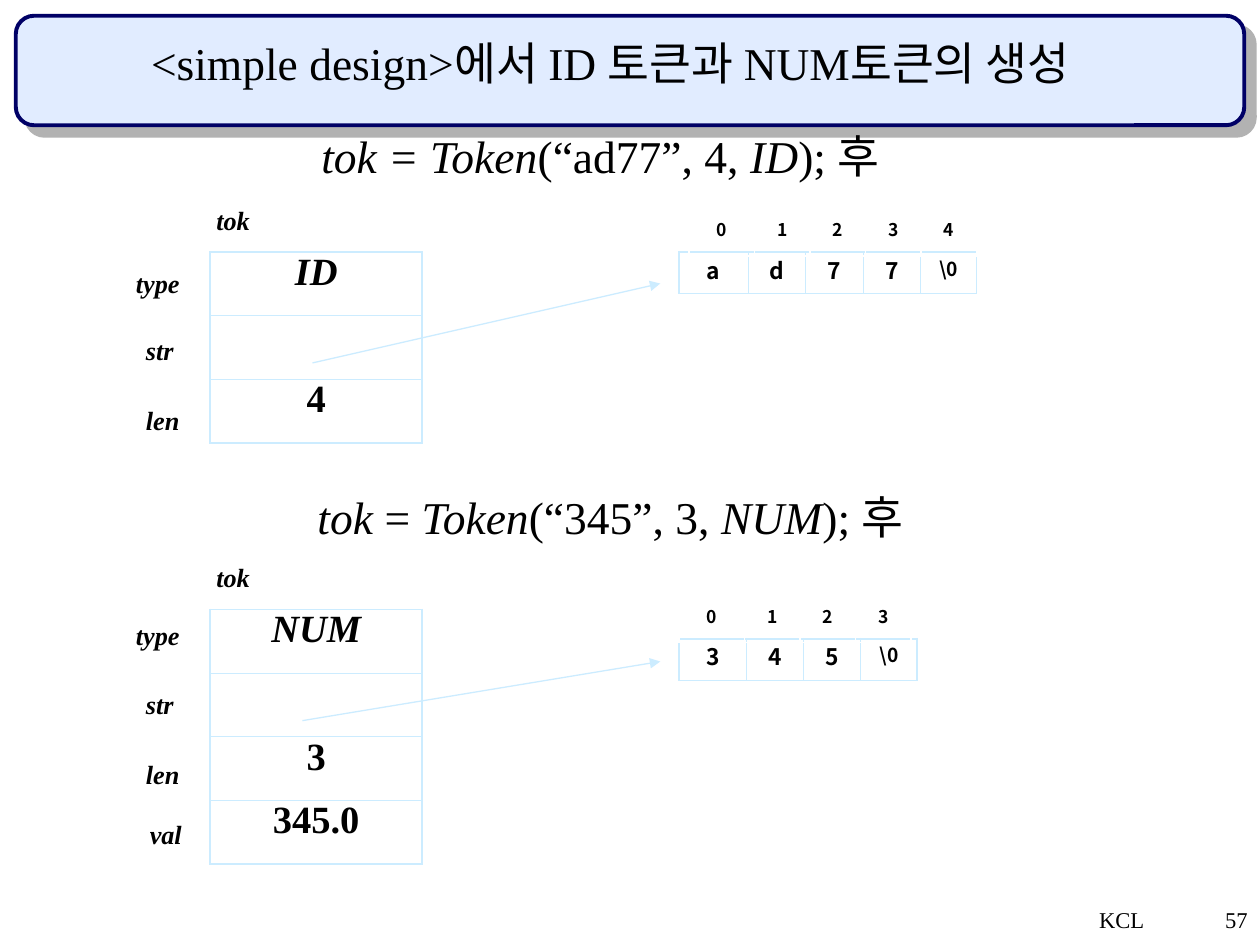
from pptx import Presentation
from pptx.dml.color import RGBColor
from pptx.enum import shapes, text
from pptx.oxml.xmlchemy import OxmlElement
from pptx.util import Pt

BLACK = RGBColor(0, 0, 0)
NAVY = RGBColor(0x00, 0x00, 0x66)
PANEL_BLUE = RGBColor(0xE1, 0xEC, 0xFF)
LINE_BLUE = RGBColor(0xCC, 0xEC, 0xFF)
SHADOW_GREY = RGBColor(0xB2, 0xB2, 0xB2)
SERIF = "Times New Roman"
SANS = "Noto Sans CJK KR"

LABEL_PLACES = {  # field name: left, width
    "type": (70.6, 51),
    "str": (76.3, 45),
    "len": (76.3, 42),
    "val": (78.5, 40),
}
FIELD_LEFT, FIELD_WIDTH, FIELD_HEIGHT = 120.2, 121, 36.35
ARRAY_LEFT, ARRAY_HEIGHT = 388.1, 23.8


def add_child(parent, tag, **attributes):
    child = OxmlElement(tag)
    for name, value in attributes.items():
        child.set(name, str(value))
    parent.append(child)
    return child


class SlideBuilder:
    def __init__(self, page):
        self.page = page

    def style(self, para, size, name=SERIF, bold=False, italic=None,
              align=text.PP_ALIGN.LEFT, spacing=1.0):
        para.alignment = align
        para.line_spacing = spacing
        para.space_before = Pt(0)
        font = para.font
        font.name, font.size = name, Pt(size)
        font.bold, font.italic = bold, italic
        font.color.rgb = BLACK

    def box(self, left, top, width, height, anchor=text.MSO_ANCHOR.TOP):
        frame = self.page.shapes.add_textbox(
            Pt(left), Pt(top), Pt(width), Pt(height)).text_frame
        frame.word_wrap = True
        frame.vertical_anchor = anchor
        return frame.paragraphs[0]

    def title(self, words):
        title = self.page.shapes.title
        title.left, title.top = Pt(54), Pt(20.2)
        title.width, title.height = Pt(589.7), Pt(43.2)
        frame = title.text_frame
        frame.text = words
        frame.auto_size = text.MSO_AUTO_SIZE.NONE
        frame.vertical_anchor = text.MSO_ANCHOR.TOP
        self.style(frame.paragraphs[0], 26, align=text.PP_ALIGN.CENTER, spacing=0.9)

    def title_panel(self):
        panel = self.page.shapes.add_shape(
            shapes.MSO_SHAPE.ROUNDED_RECTANGLE, Pt(9), Pt(9), Pt(702), Pt(62.6))
        panel.fill.solid()
        panel.fill.fore_color.rgb = PANEL_BLUE
        panel.line.color.rgb = NAVY
        panel.line.width = Pt(2.25)
        panel.shadow.inherit = False
        effects = panel.element.spPr.find(
            "{http://schemas.openxmlformats.org/drawingml/2006/main}effectLst")
        shadow = add_child(effects, "a:outerShdw", blurRad=0, dist=Pt(8.5),
                           dir=45 * 60000, algn="ctr", rotWithShape=0)
        add_child(shadow, "a:srgbClr", val=SHADOW_GREY)
        self.page.shapes.title.element.addprevious(panel.element)

    def statement(self, left, top, spans):
        para = self.box(left, top, 589.7, 43.2)
        for words, italic in spans:
            span = para.add_run()
            span.text = words
            span.font.italic = italic
        self.style(para, 26, align=text.PP_ALIGN.CENTER, spacing=0.9)

    def label(self, left, top, width, words):
        para = self.box(left, top, width, 28.8, text.MSO_ANCHOR.MIDDLE)
        para.text = words
        self.style(para, 15, bold=True, italic=True)

    def border(self, cell, widths):
        """Draw the left, right, top and bottom edges of a cell."""
        properties = cell._tc.get_or_add_tcPr()
        for side, width in zip("LRTB", widths):
            line = add_child(properties, f"a:ln{side}", w=Pt(width))
            add_child(add_child(line, "a:solidFill"), "a:srgbClr", val=LINE_BLUE)

    def table(self, left, top, widths, row_height, rows, bordered=True, **style):
        """rows holds (words, size, italic) for every cell."""
        table = self.page.shapes.add_table(
            len(rows), len(widths), Pt(left), Pt(top),
            Pt(sum(widths)), Pt(row_height * len(rows))).table
        table.first_row = table.horz_banding = False
        for column, width in zip(table.columns, widths):
            column.width = Pt(width)
        for r, row in enumerate(rows):
            table.rows[r].height = Pt(row_height)
            for c, (words, size, italic) in enumerate(row):
                cell = table.cell(r, c)
                if bordered:
                    outer = (c == 0, c == len(widths) - 1, r == 0, r == len(rows) - 1)
                    self.border(cell, [1.08 if edge else 0.45 for edge in outer])
                cell.fill.background()
                para = cell.text_frame.paragraphs[0]
                para.text = words
                self.style(para, size, bold=True, italic=italic,
                           align=text.PP_ALIGN.CENTER, spacing=0.8, **style)

    def token(self, top, values, label_tops):
        self.label(116.6, top - 32.7, 50.4, "tok")
        rows = [[(value, 22, value.isalpha())] for value in values]
        self.table(FIELD_LEFT, top, [FIELD_WIDTH], FIELD_HEIGHT, rows)
        for (name, (left, width)), label_top in zip(LABEL_PLACES.items(), label_tops):
            self.label(left, label_top, width, name)

    def characters(self, top, letters, widths, index_left):
        cells = [(letter, 13, False) for letter in letters] + [("\\0", 11, False)]
        self.table(ARRAY_LEFT, top, widths, ARRAY_HEIGHT, [cells], name=SANS)
        indexes = [(str(i), 10, False) for i in range(len(cells))]
        index_widths = [37.4] + [31.7] * (len(cells) - 1)
        self.table(index_left, top - 21.6, index_widths, ARRAY_HEIGHT, [indexes],
                   bordered=False, name=SANS)

    def arrow(self, start_x, start_y, end_x, end_y):
        arrow = self.page.shapes.add_connector(
            shapes.MSO_CONNECTOR.STRAIGHT,
            Pt(start_x), Pt(start_y), Pt(end_x), Pt(end_y))
        arrow.line.color.rgb = LINE_BLUE
        arrow.line.width = Pt(0.75)
        add_child(arrow.line._get_or_add_ln(), "a:tailEnd", type="triangle")
        add_child(arrow.element.spPr, "a:effectLst")

    def footer(self, words):
        para = self.box(570.2, 516.2, 149.8, 23.8)
        para.text = words
        tabs = add_child(para._p.get_or_add_pPr(), "a:tabLst")
        add_child(tabs, "a:tab", pos=Pt(72), algn="l")
        self.style(para, 12.9, align=text.PP_ALIGN.RIGHT, spacing=0.9)


def main():
    deck = Presentation()
    deck.slide_width, deck.slide_height = Pt(720), Pt(540)
    builder = SlideBuilder(deck.slides.add_slide(deck.slide_layouts[5]))

    builder.title("<simple design>에서 ID 토큰과 NUM토큰의 생성")
    builder.title_panel()

    builder.statement(48.2, 73.4, [
        ("tok = Token", True), ("(“ad77”, 4, ", False), ("ID", True), ("); 후", False)])
    builder.token(144, ["ID", "", "4"], [147.5, 185.8, 225.4])
    builder.characters(144, "ad77", [39.3, 32.7, 33.5, 32.6, 31.9], 393.8)
    builder.arrow(178.6, 207.4, 377.3, 162)

    builder.statement(54, 279.4, [
        ("tok", True), (" =", False), (" Token", True), ("(“345”, 3, ", False),
        ("NUM", True), ("); 후", False)])
    builder.token(348.2, ["NUM", "", "3", "345.0"], [348.5, 388.1, 427.7, 462.2])
    builder.characters(365, "345", [38.5, 32.3, 33, 32.3], ARRAY_LEFT)
    builder.arrow(172.8, 411.8, 377.3, 378)

    builder.footer("KCL\t57")
    deck.save("out.pptx")


if __name__ == "__main__":
    main()
